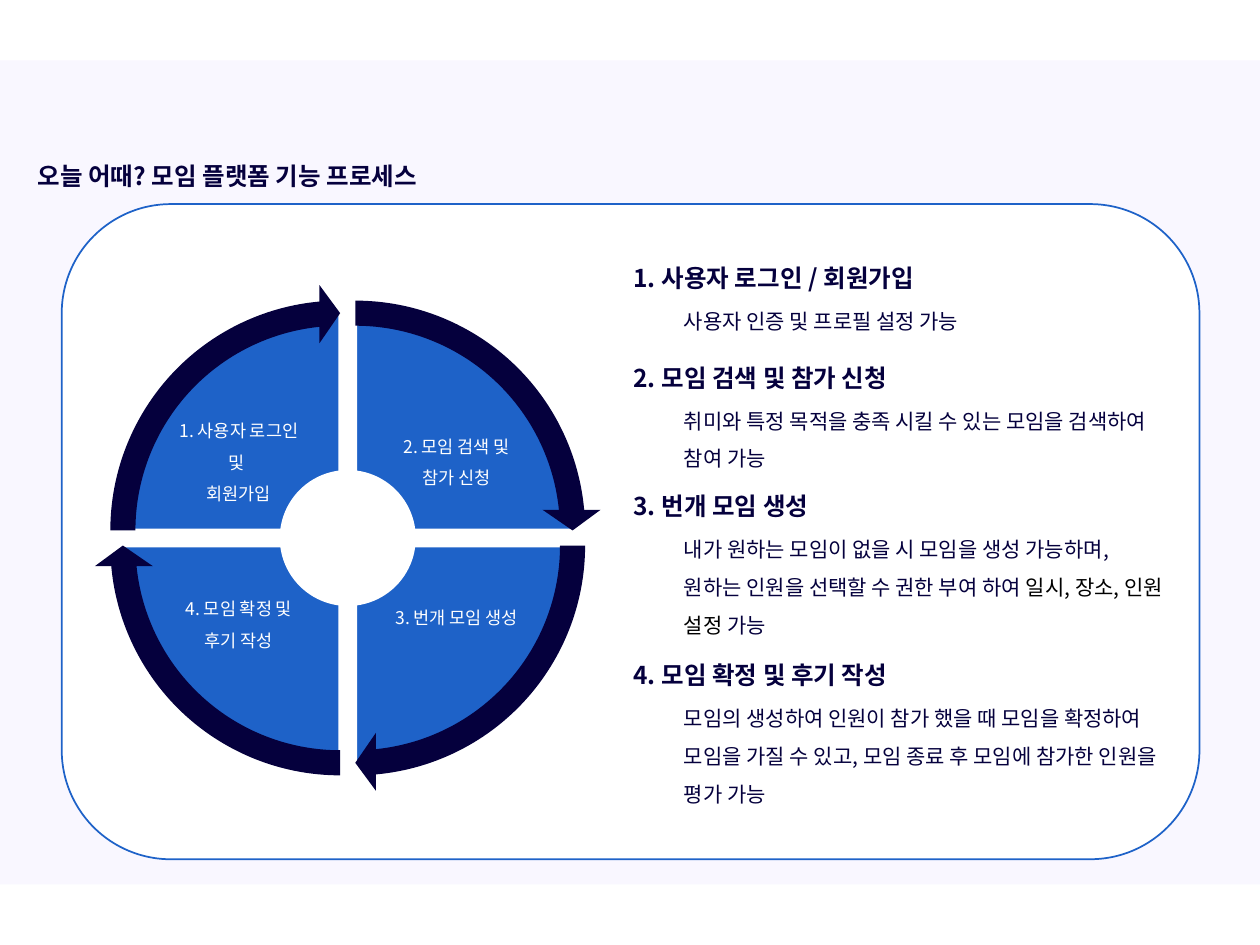
from dataclasses import dataclass

from lxml.etree import SubElement
from pptx import Presentation
from pptx.dml.color import RGBColor as RGB
from pptx.enum.shapes import MSO_SHAPE as SHAPE
from pptx.enum.text import MSO_ANCHOR as ANCHOR, MSO_AUTO_SIZE as AUTO, PP_ALIGN as ALIGN
from pptx.oxml.ns import qn
from pptx.util import Inches, Pt


@dataclass(frozen=True)
class Theme:
    font: str = "Noto Sans CJK KR"
    navy: str = "05003D"
    blue: str = "1E62C8"
    lavender: str = "F9F7FF"
    white: str = "FFFFFF"
    black: str = "000000"
    heading: int = 14
    body: int = 12
    label: int = 10


THEME = Theme()
QUADRANTS = [
    (1, -1, 1.5, ["2. 모임 검색 및", "참가 신청"]),
    (1, 1, 0.9, ["3. 번개 모임 생성"]),
    (-1, 1, 1.5, ["4. 모임 확정 및", "후기 작성"]),
    (-1, -1, 1.5, ["1. 사용자 로그인 및 ", "회원가입"]),
]
STEPS = [
    (2.04, 0.36, "1. 사용자 로그인 / 회원가입",
     [("사용자 인증 및 프로필 설정 가능", THEME.navy)]),
    (2.83, 0.67, "2. 모임 검색 및 참가 신청",
     [("취미와 특정 목적을 충족 시킬 수 있는 모임을 검색하여 참여 가능", THEME.navy)]),
    (3.85, 0.97, "3. 번개 모임 생성",
     [("내가 원하는 모임이 없을 시 모임을 생성 가능하며, 원하는 인원을 선택할 수 권한 부여 하여 ", THEME.navy),
      ("일시, 장소, 인원 설정 ", THEME.black),
      ("가능", THEME.navy)]),
    (5.19, 0.97, "4. 모임 확정 및 후기 작성",
     [("모임의 생성하여 인원이 참가 했을 때 모임을 확정하여 모임을 가질 수 있고, "
       "모임 종료 후 모임에 참가한 인원을 평가 가능", THEME.navy)]),
]


def paint(shape, fill, line=None, width=1):
    shape.shadow.inherit = False
    shape.fill.solid()
    shape.fill.fore_color.rgb = RGB.from_string(fill)
    if line:
        shape.line.color.rgb = RGB.from_string(line)
        shape.line.width = Pt(width)
    else:
        shape.line.fill.background()


def add_preset(shapes, kind, box, fill, line=None):
    shape = shapes.add_shape(kind, *map(Inches, box))
    paint(shape, fill, line)
    return shape


def write_run(paragraph, words, size, color, bold=False):
    run = paragraph.add_run()
    run.text = words
    run.font.color.rgb = RGB.from_string(color)
    for key, value in {"name": THEME.font, "size": Pt(size), "bold": bold}.items():
        setattr(run.font, key, value)
    run.font._element.set("kern", "0")
    SubElement(run.font._element, qn("a:ea"), typeface=THEME.font)


def add_text(shapes, box, runs, size, bold=False, spacing=None):
    frame = shapes.add_textbox(*map(Inches, box)).text_frame
    frame.word_wrap = True
    frame.auto_size = AUTO.SHAPE_TO_FIT_TEXT
    paragraph = frame.paragraphs[0]
    paragraph.line_spacing = spacing
    for words, color in runs:
        write_run(paragraph, words, size, color, bold)


def build_quarter(shapes, center, radius, right, down):
    x, y = center
    corners = [(x + radius * i, y + radius * j) for i, j in [(-1, -1), (1, -1), (1, 1), (-1, 1)]]
    corners = [(Inches(i), Inches(j)) for i, j in corners]
    outline = shapes.build_freeform(*corners[0])
    outline.add_line_segments(corners[1:])
    quarter = outline.convert_to_shape()

    curve = next(quarter._element.iter(qn("a:path")))
    for step in list(curve):
        curve.remove(step)
    first, last = ((0, down), (right, 0)) if right != down else ((right, 0), (0, down))
    bend = 0.55
    handles = [(first[0] + bend * last[0], first[1] + bend * last[1]),
               (last[0] + bend * first[0], last[1] + bend * first[1])]
    for command, points in [("moveTo", [first]), ("cubicBezTo", [*handles, last]),
                            ("lnTo", [(0, 0)]), ("lnTo", [first]), ("close", [])]:
        step = SubElement(curve, qn(f"a:{command}"))
        for i, j in points:
            SubElement(step, qn("a:pt"), x=str(Inches(radius * (1 + i))),
                       y=str(Inches(radius * (1 + j))))
    return quarter


def add_wedge(shapes, center, radius, right, down, spacing, lines):
    wedge = build_quarter(shapes, center, radius, right, down)
    paint(wedge, THEME.blue, THEME.white, 2)
    sides = [2, 0.39][::right]
    ends = [1.96, 0.79][::down]
    frame = wedge.text_frame
    settings = {
        "margin_left": Inches(sides[0]), "margin_right": Inches(sides[1]),
        "margin_top": Inches(ends[0]), "margin_bottom": Inches(ends[1]),
        "vertical_anchor": ANCHOR.MIDDLE, "word_wrap": True,
    }
    for key, value in settings.items():
        setattr(frame, key, value)
    paragraph = frame.paragraphs[0]
    paragraph.alignment = ALIGN.CENTER
    paragraph.line_spacing = spacing
    for index, words in enumerate(lines):
        if index:
            paragraph.add_line_break()
        write_run(paragraph, words, THEME.label, THEME.white)


def add_cycle(slide, left, top, size):
    shapes = slide.shapes.add_group_shape().shapes
    x, y = left + size / 2, top + size / 2
    gap, radius, ring, hub = 0.06, 1.74, 3.91, 1.08
    centers = [(x + gap * right, y + gap * down) for right, down, *_ in QUADRANTS]
    for center, quadrant in zip(centers, QUADRANTS):
        add_wedge(shapes, center, radius, *quadrant)
    for index, (cx, cy) in enumerate(centers):
        arrow = add_preset(shapes, SHAPE.CIRCULAR_ARROW,
                           (cx - ring / 2, cy - ring / 2, ring, ring), THEME.navy)
        start = (162 + 54 * index) % 216
        for slot, value in enumerate([0.051, 3.275, start + 50.725, start, 0.059]):
            arrow.adjustments[slot] = value
    add_preset(shapes, SHAPE.OVAL, (x - hub / 2, y - hub / 2, hub, hub), THEME.white)


def add_steps(slide, left, width):
    for top, height, heading, runs in STEPS:
        add_text(slide.shapes, (left, top, width, 0.34), [(heading, THEME.navy)],
                 THEME.heading, bold=True)
        add_text(slide.shapes, (left + 0.4, top + 0.26, width - 0.3, height), runs,
                 THEME.body, spacing=1.5)


def add_backdrop(slide, left, top, width, height):
    add_preset(slide.shapes, SHAPE.RECTANGLE, (left, top, width, height), THEME.lavender)
    add_text(slide.shapes, (left + 0.2, top + 0.75, 4.49, 0.34),
             [("오늘 어때? 모임 플랫폼 기능 프로세스", THEME.navy)], THEME.heading, bold=True)
    add_preset(slide.shapes, SHAPE.ROUNDED_RECTANGLE,
               (left + 0.49, top + 1.14, 9.03, 5.2), THEME.white, THEME.blue)


def main():
    deck = Presentation()
    deck.slide_width, deck.slide_height = Inches(10), Inches(7.5)
    slide = deck.slides.add_slide(deck.slide_layouts[6])
    add_backdrop(slide, 0, 0.48, 10, 6.54)
    add_cycle(slide, 0.75, 2.26, 4.02)
    add_steps(slide, 4.93, 4.33)
    deck.save("out.pptx")


if __name__ == "__main__":
    main()
